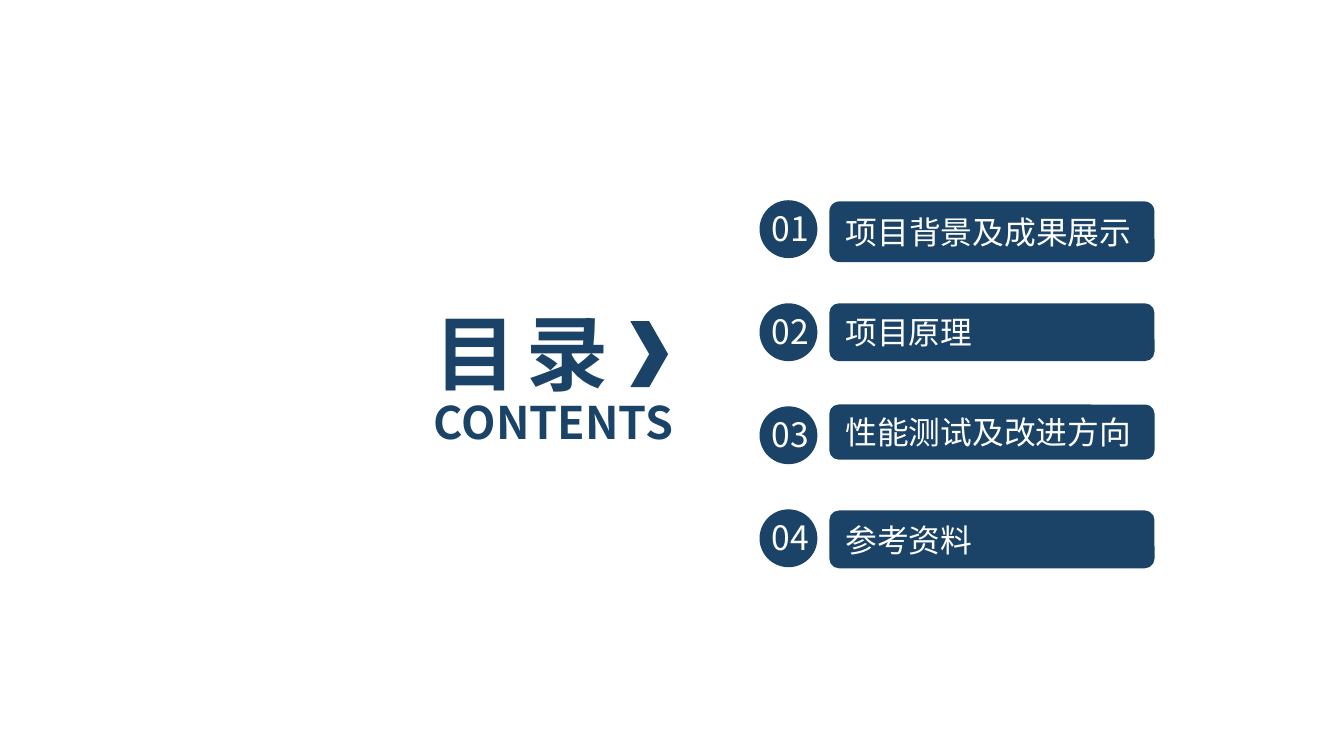
from pptx import Presentation
from pptx.dml.color import RGBColor
from pptx.enum.shapes import MSO_SHAPE
from pptx.enum.text import MSO_ANCHOR, MSO_AUTO_SIZE, PP_ALIGN
from pptx.oxml.ns import qn
from pptx.util import Pt

FONT = "Noto Sans CJK SC"
NAVY, WHITE = "1B4367", "FFFFFF"
TITLE_ONLY = 5

# Contents entry: label, bar offset from the circle's top, bar height
ENTRIES = [
    ("项目背景及成果展示", 0.6, 32.5),
    ("项目原理", 0, 31),
    ("性能测试及改进方向", -1, 29.5),
    ("参考资料", 0.6, 31),
]


def color(hex_value):
    return RGBColor.from_string(hex_value)


def place(shape, left, top, width, height):
    shape.left, shape.top = Pt(left), Pt(top)
    shape.width, shape.height = Pt(width), Pt(height)


def write(shape, text, size, hex_value, align=PP_ALIGN.LEFT, bold=False, spacing=0):
    frame = shape.text_frame
    frame.text = text
    frame.word_wrap = True
    frame.auto_size = MSO_AUTO_SIZE.NONE
    frame.vertical_anchor = MSO_ANCHOR.MIDDLE
    paragraph = frame.paragraphs[0]
    paragraph.alignment = align
    run = paragraph.runs[0]
    run.font.size = Pt(size)
    run.font.bold = bold
    run.font.name = FONT
    run.font.color.rgb = color(hex_value)
    properties = run.font._element
    properties.append(properties.makeelement(qn("a:ea"), {"typeface": FONT}))
    if spacing:
        properties.set("spc", str(round(spacing * 100)))


def add_solid(shapes, preset, left, top, width, height):
    solid = shapes.add_shape(preset, Pt(left), Pt(top), Pt(width), Pt(height))
    solid.shadow.inherit = False
    solid.fill.solid()
    solid.fill.fore_color.rgb = color(NAVY)
    solid.line.fill.background()
    return solid


def add_heading(slide, left, top, width):
    # Title
    title = slide.shapes.title
    place(title, left, top, width, 60.5)
    write(title, "目 录", 44, NAVY, bold=True, spacing=-2.2)

    # English subtitle
    subtitle = slide.shapes.add_textbox(Pt(left), Pt(top + 49.7), Pt(width), Pt(36))
    write(subtitle, "CONTENTS", 24, NAVY, bold=True)

    # Chevron pointing at the entries
    add_solid(slide.shapes, MSO_SHAPE.CHEVRON, left + 112.3, top + 13.7, 20.2, 35.3)


def add_entry(slide, left, top, width, number, label, bar_offset, bar_height):
    entry = slide.shapes.add_group_shape().shapes
    diameter, bar_inset = 31, 37.4

    # Label bar
    bar = add_solid(entry, MSO_SHAPE.ROUNDED_RECTANGLE, left + bar_inset,
                    top + bar_offset, width - bar_inset, bar_height)
    write(bar, label, 17, WHITE)

    # Numbered circle
    add_solid(entry, MSO_SHAPE.OVAL, left, top, diameter, diameter)
    numeral = entry.add_textbox(Pt(left - 2.2), Pt(top + 0.7), Pt(37.4), Pt(28.8))
    write(numeral, f"{number:02d}", 18, WHITE, PP_ALIGN.CENTER)


def add_entries(slide, left, top, width, pitch):
    for index, (label, bar_offset, bar_height) in enumerate(ENTRIES):
        add_entry(slide, left, top + index * pitch, width,
                  index + 1, label, bar_offset, bar_height)


def main():
    presentation = Presentation()
    presentation.slide_width, presentation.slide_height = Pt(720), Pt(405)
    slide = presentation.slides.add_slide(presentation.slide_layouts[TITLE_ONLY])
    add_heading(slide, 225.4, 158.4, 169)
    add_entries(slide, 406.9, 107.3, 211.6, 55.2)
    presentation.save("out.pptx")


if __name__ == "__main__":
    main()
